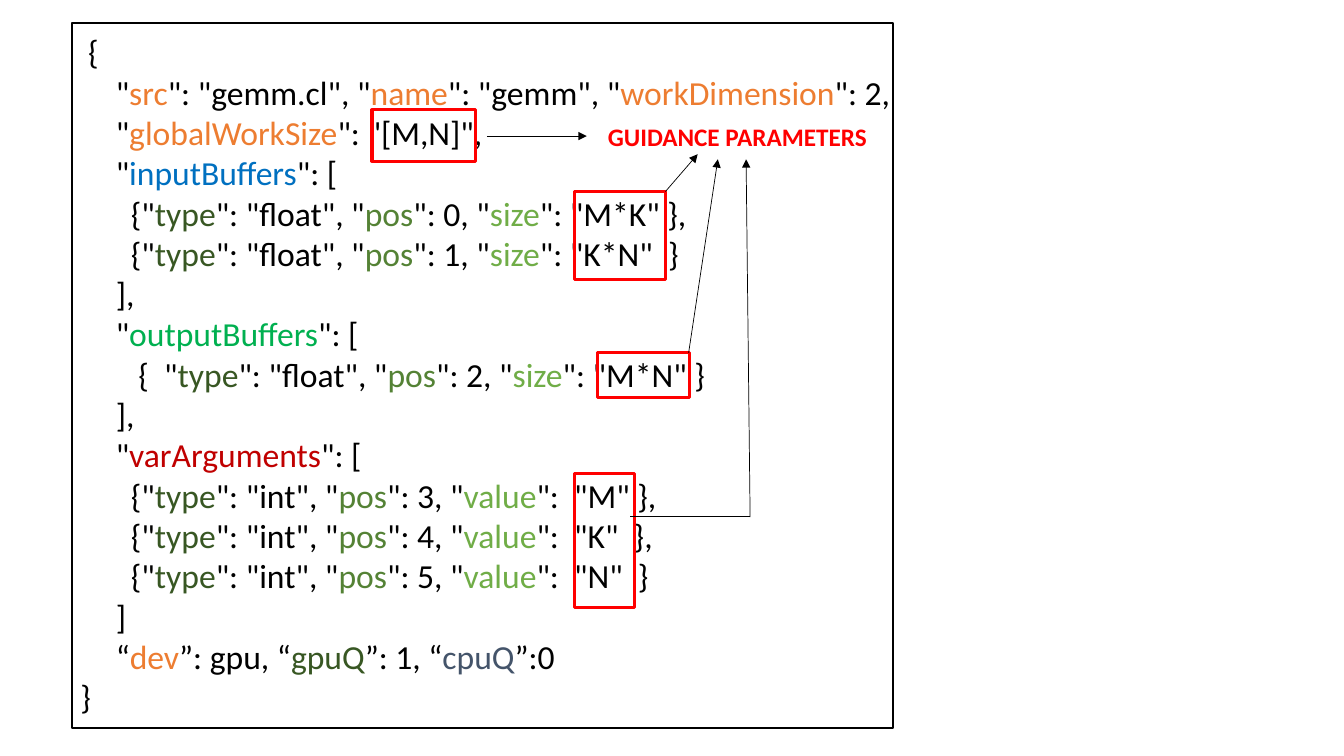
from lxml import etree
from pptx import Presentation
from pptx.dml.color import RGBColor
from pptx.enum.shapes import MSO_CONNECTOR as Connector, MSO_SHAPE as Shape
from pptx.enum.text import MSO_AUTO_SIZE as AutoSize
from pptx.oxml.ns import qn
from pptx.util import Inches, Pt

BLACK, RED = "000000", "FF0000"
SPACE = 0.075  # width of one code space at 24 pt, in inches
LEVEL_INDENT = 0.5

KEY_COLOURS = {
    "src": "ED7D31", "name": "ED7D31", "workDimension": "ED7D31",
    "globalWorkSize": "ED7D31", "dev": "ED7D31",
    "inputBuffers": "0070C0", "outputBuffers": "00B050", "varArguments": "C00000",
    "type": "385723", "gpuQ": "385723", "pos": "548235",
    "size": "70AD47", "value": "70AD47", "cpuQ": "44546A",
}

# (level, leading spaces, code with its keys between bars)
CODE = [
    (0, 3, '{'),
    (1, 0, '"|src|": "gemm.cl", "|name|": "gemm", "|workDimension|": 2,'),
    (1, 0, '"|globalWorkSize|": "[M,N]",'),
    (1, 0, '"|inputBuffers|": ['),
    (1, 2, '{"|type|": "float", "|pos|": 0, "|size|": "M*K" },'),
    (1, 2, '{"|type|": "float", "|pos|": 1, "|size|": "K*N"  }'),
    (1, 0, '],'),
    (1, 0, '"|outputBuffers|": ['),
    (1, 3, '{  "|type|": "float", "|pos|": 2, "|size|": "M*N" }'),
    (1, 0, '],'),
    (1, 0, '"|varArguments|": ['),
    (1, 2, '{"|type|": "int", "|pos|": 3, "|value|":  "M" },'),
    (1, 2, '{"|type|": "int", "|pos|": 4, "|value|":  "K"  },'),
    (1, 2, '{"|type|": "int", "|pos|": 5, "|value|":  "N"  }'),
    (1, 0, ']'),
    (1, 0, '“|dev|”: gpu, “|gpuQ|”: 1, “|cpuQ|”:0'),
    (0, 2, '}'),
]

PARAMETER_BOXES = [
    (3.69, 1.09, 1.03, 0.51),
    (5.7, 1.9, 0.9, 0.87),
    (5.93, 3.5, 0.91, 0.44),
    (5.7, 4.7, 0.59, 1.33),
]

# (start, end, has an arrowhead)
POINTERS = [
    ((4.83, 1.35), (5.82, 1.35), True),
    ((6.6, 1.9), (6.92, 1.53), True),
    ((6.83, 3.5), (7.12, 1.58), True),
    ((7.44, 5.13), (7.4, 1.58), True),
    ((6.25, 5.12), (7.44, 5.12), False),
]


def colour(hex_code):
    return RGBColor.from_string(hex_code)


def add_run(paragraph, text, hex_code, **font_format):
    run = paragraph.add_run()
    run.text = text
    run.font.color.rgb = colour(hex_code)
    for attribute, value in {"name": "Calibri", **font_format}.items():
        setattr(run.font, attribute, value)


def add_text_frame(slide, box):
    frame = slide.shapes.add_textbox(*map(Inches, box)).text_frame
    frame.word_wrap = True
    frame.auto_size = AutoSize.SHAPE_TO_FIT_TEXT
    return frame


def add_code(slide, box):
    frame = add_text_frame(slide, box)
    for number, (level, spaces, code) in enumerate(CODE):
        line = frame.add_paragraph() if number else frame.paragraphs[0]
        line.level = level
        properties = line._p.get_or_add_pPr()
        properties.set("marL", str(Inches(level * LEVEL_INDENT + spaces * SPACE)))
        properties.set("indent", "0")
        for part in code.split("|"):
            add_run(line, part, KEY_COLOURS.get(part, BLACK), size=Pt(24))


def add_guidance_label(slide, box):
    frame = add_text_frame(slide, box)
    add_run(frame.paragraphs[0], "GUIDANCE PARAMETERS", RED, size=Pt(18), bold=True)


def add_outline(slide, box, hex_code, width):
    outline = slide.shapes.add_shape(Shape.RECTANGLE, *map(Inches, box))
    outline.shadow.inherit = False
    outline.fill.background()
    outline.line.color.rgb = colour(hex_code)
    outline.line.width = Pt(width)


def add_pointer(slide, start, end, has_head):
    pointer = slide.shapes.add_connector(
        Connector.STRAIGHT, *map(Inches, start + end))
    pointer.line.color.rgb = colour(BLACK)
    pointer.line.width = Pt(0.5)
    if has_head:
        etree.SubElement(pointer.line._get_or_add_ln(), qn("a:tailEnd"), type="triangle")
    etree.SubElement(pointer._element.spPr, qn("a:effectLst"))


def build_kernel_slide(presentation):
    slide = presentation.slides.add_slide(presentation.slide_layouts[6])
    add_code(slide, (0.55, 0.26, 8.97, 6.97))
    for box in PARAMETER_BOXES:
        add_outline(slide, box, RED, 2.25)
    for start, end, has_head in POINTERS:
        add_pointer(slide, start, end, has_head)
    add_guidance_label(slide, (5.93, 1.15, 3.25, 0.4))
    add_outline(slide, (0.71, 0.23, 8.15, 6.99), BLACK, 1.5)


def main():
    presentation = Presentation()
    presentation.slide_width = Inches(13.33)
    presentation.slide_height = Inches(7.5)
    build_kernel_slide(presentation)
    presentation.save("out.pptx")


if __name__ == "__main__":
    main()
